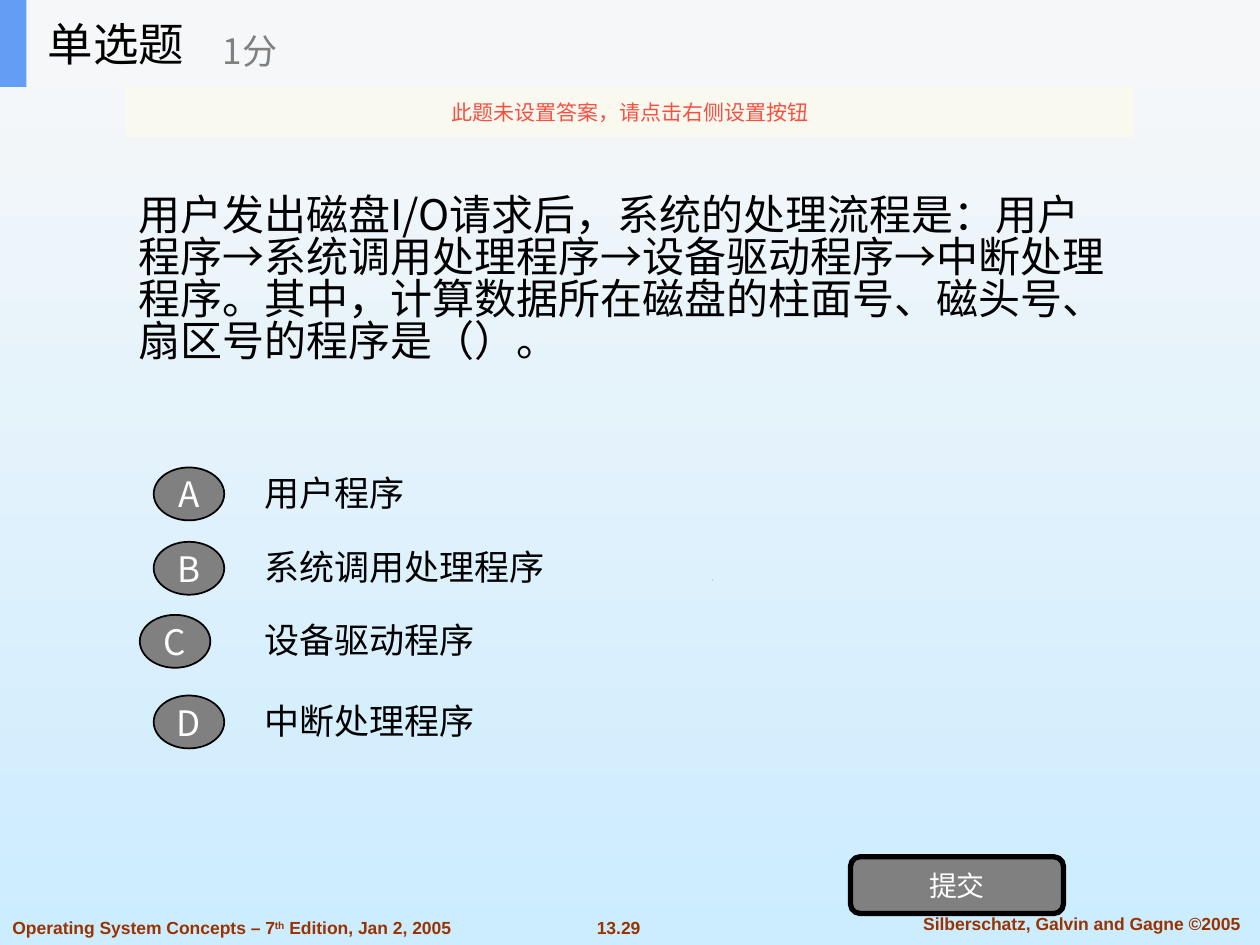
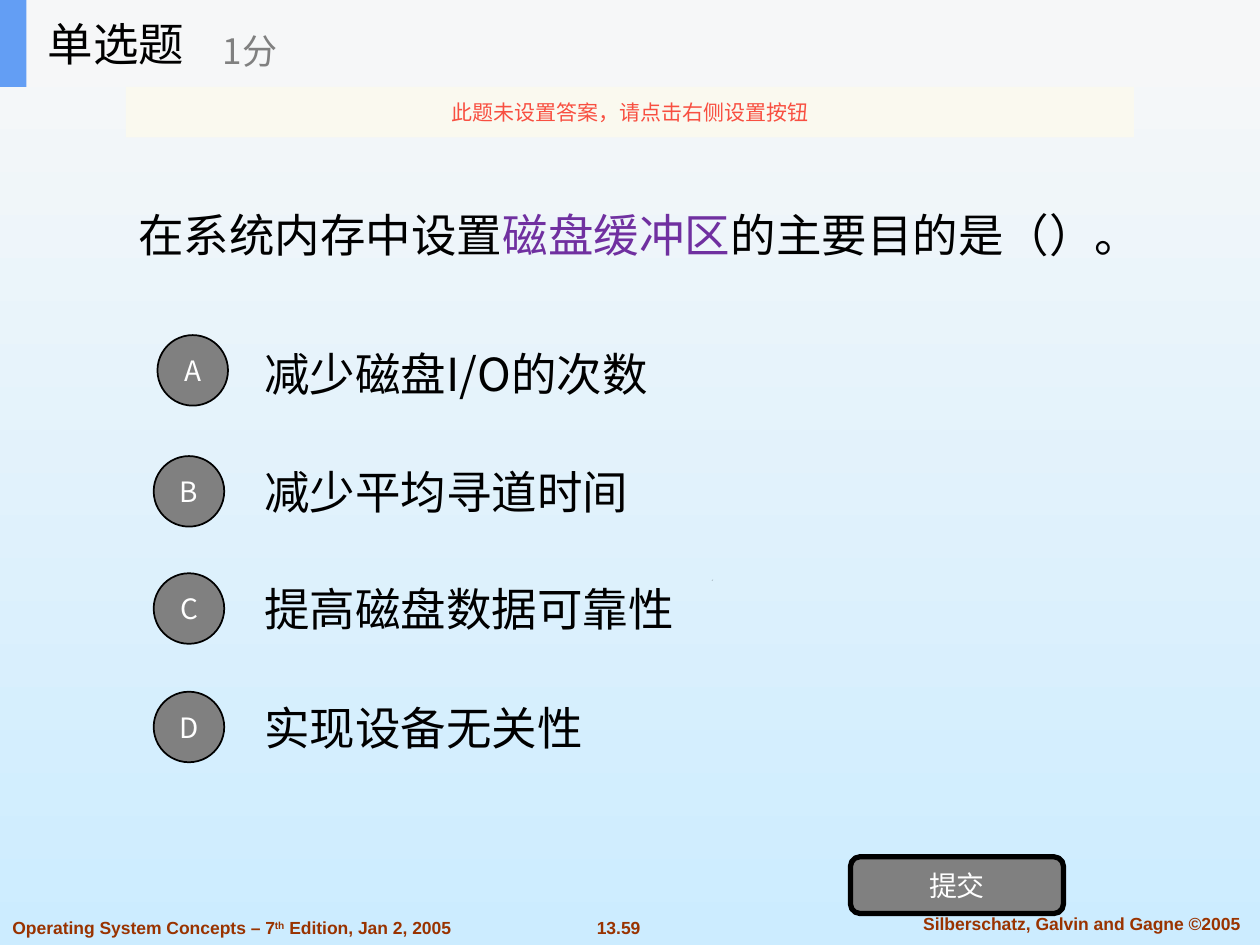
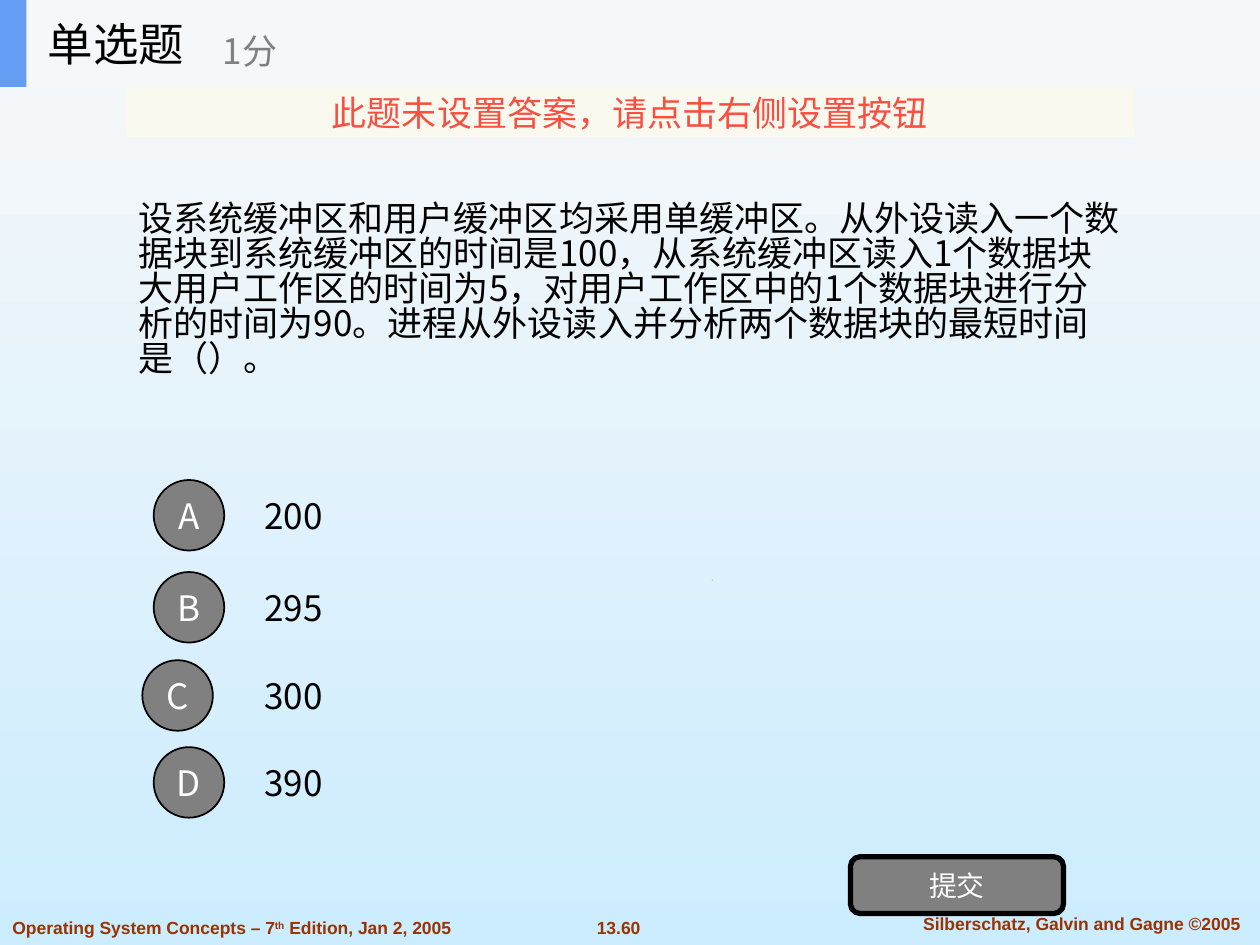
from dataclasses import dataclass

from lxml import etree
from pptx import Presentation
from pptx.dml.color import RGBColor
from pptx.enum.shapes import MSO_SHAPE
from pptx.enum.text import MSO_ANCHOR, MSO_AUTO_SIZE, PP_ALIGN
from pptx.oxml.ns import qn
from pptx.util import Inches, Pt

RECT = MSO_SHAPE.RECTANGLE
ROUND = MSO_SHAPE.ROUNDED_RECTANGLE
OVAL = MSO_SHAPE.OVAL
LEFT = PP_ALIGN.LEFT
CENTER = PP_ALIGN.CENTER
TOP = MSO_ANCHOR.TOP
MIDDLE = MSO_ANCHOR.MIDDLE
FIT = MSO_AUTO_SIZE.SHAPE_TO_FIT_TEXT
FIXED = MSO_AUTO_SIZE.NONE

HAN = "Noto Sans CJK SC"
COLORS = {
    "black": "000000",
    "white": "FFFFFF",
    "gray": "808080",
    "brown": "993300",
    "violet": "7030A0",
    "red": "F84F41",
    "cream": "FBFAEF",
    "blue": "639EF4",
    "bar": "F6F7F8",
    "sky_top": "F8F8F8",
    "sky_end": "CCECFF",
}


@dataclass(frozen=True)
class Span:
    text: str
    color: str = ""
    raised: bool = False


@dataclass(frozen=True)
class Choice:
    text: str
    top: float
    left: float = 1.22
    drop: float = 0.07


@dataclass(frozen=True)
class Quiz:
    page: str
    spans: tuple[Span, ...]
    top: float
    size: float
    pitch: float
    choices: tuple[Choice, ...]
    row: float
    badge: float
    mark: float
    hint: float


QUIZZES = (
    Quiz(
        "13.29",
        (Span("用户发出磁盘I/O请求后，系统的处理流程是：用户程序→系统调用处理程序→"
              "设备驱动程序→中断处理程序。其中，计算数据所在磁盘的柱面号、磁头号、"
              "扇区号的程序是（）。"),),
        1.06, 24, 0.83,
        (Choice("用户程序", 3.64), Choice("系统调用处理程序", 4.23),
         Choice("设备驱动程序", 4.81, left=1.11), Choice("中断处理程序", 5.45)),
        row=0.53, badge=0.42, mark=20, hint=12,
    ),
    Quiz(
        "13.59",
        (Span("在系统内存中设置"), Span("磁盘缓冲区", "violet"),
         Span("的主要目的是（）。")),
        0.69, 26, 1,
        (Choice("减少磁盘I/O的次数", 2.61, left=1.25, drop=0.05),
         Choice("减少平均寻道时间", 3.55), Choice("提高磁盘数据可靠性", 4.48),
         Choice("实现设备无关性", 5.42)),
        row=0.7, badge=0.56, mark=16, hint=12,
    ),
    Quiz(
        "13.60",
        (Span("设系统缓冲区和用户缓冲区均采用单缓冲区。从外设读入一个数据块到系统"
              "缓冲区的时间是100，从系统缓冲区读入1个数据块大用户工作区的时间为5，"
              "对用户工作区中的1个数据块进行分析的时间为90。进程从外设读入并分析"
              "两个数据块的最短时间是（）。"),),
        1.14, 20, 0.83,
        (Choice("200", 3.74), Choice("295", 4.47),
         Choice("300", 5.17, left=1.13), Choice("390", 5.86)),
        row=0.7, badge=0.56, mark=20, hint=20,
    ),
)


def rgb(name: str) -> RGBColor:
    return RGBColor.from_string(COLORS[name])


def write(shape, *spans, size=20, color="black", font=HAN, bold=False,
          align=LEFT, anchor=MIDDLE, wrap=True, fit=FIXED, pitch=1):
    frame = shape.text_frame
    frame.word_wrap = wrap
    frame.auto_size = fit
    frame.vertical_anchor = anchor
    para = frame.paragraphs[0]
    para.alignment = align
    if pitch != 1:
        para.line_spacing = pitch
    for span in spans:
        run = para.add_run()
        run.text = span.text
        run.font.size = Pt(size)
        run.font.bold = bold
        run.font.color.rgb = rgb(span.color or color)
        run.font.name = font
        props = run.font._element
        etree.SubElement(props, qn("a:ea")).set("typeface", font)
        if span.raised:
            props.set("baseline", "30000")


def place(*box: float) -> list:
    return [Inches(side) for side in box]


def label(slide, box: tuple, *spans: Span, **style):
    write(slide.shapes.add_textbox(*place(*box)), *spans, **style)


def panel(slide, kind, box: tuple, fill: str, line: float = 0):
    shape = slide.shapes.add_shape(kind, *place(*box))
    shape.shadow.inherit = False
    shape.fill.solid()
    shape.fill.fore_color.rgb = rgb(fill)
    if line:
        shape.line.color.rgb = rgb("black")
        shape.line.width = Pt(line)
    else:
        shape.line.fill.background()
    return shape


def speck(slide, start: tuple, *points: tuple, turn: float = 0):
    pen = slide.shapes.build_freeform(*place(*start), scale=1.0)
    pen.add_line_segments([tuple(place(*point)) for point in points], close=True)
    shape = pen.convert_to_shape()
    shape.shadow.inherit = False
    shape.fill.solid()
    shape.fill.fore_color.rgb = rgb("black")
    shape.line.fill.background()
    shape.rotation = turn


def paint(master):
    fill = master.background.fill
    fill.gradient()
    fill.gradient_angle = 270
    for stop, name in zip(fill.gradient_stops, ("sky_top", "sky_end")):
        stop.color.rgb = rgb(name)


def footer(slide, page: str):
    style = dict(size=10, color="brown", font="Arial", bold=True, anchor=TOP, fit=FIT)
    label(slide, (4.63, 7.23, 0.56, 0.27), Span(page), align=CENTER, wrap=False, **style)
    label(slide, (7.1, 7.2, 2.97, 0.27), Span("Silberschatz, Galvin and Gagne ©2005"),
          align=CENTER, **style)
    label(slide, (0, 7.23, 3.69, 0.27), Span("Operating System Concepts – 7"),
          Span("th", raised=True), Span(" Edition, Jan 2, 2005"), wrap=False, **style)
    speck(slide, (1.76, 5.43), (1.77, 5.42), turn=139.4)
    speck(slide, (5.65, 4.61), (5.66, 4.6), (5.65, 4.61))


def header(slide, hint: float):
    panel(slide, RECT, (0, 0, 10, 0.69), "bar")
    panel(slide, RECT, (0, 0, 0.21, 0.69), "blue")
    title = slide.shapes.title
    title.left, title.top, title.width, title.height = place(0.28, 0, 2.08, 0.69)
    write(title, Span("单选题"), size=26)
    slide.shapes.element.append(title.element)
    label(slide, (1.67, 0.12, 2.5, 0.56), Span("1分"), color="gray")
    strip = panel(slide, RECT, (1, 0.69, 8, 0.4), "cream")
    tint = strip.element.spPr.find(qn("a:solidFill"))[0]
    etree.SubElement(tint, qn("a:alpha")).set("val", "90000")
    write(strip, Span("此题未设置答案，请点击右侧设置按钮"), size=hint,
          color="red", align=CENTER, wrap=False)


def build(deck, quiz: Quiz):
    slide = deck.slides.add_slide(deck.slide_layouts[5])
    footer(slide, quiz.page)
    label(slide, (1, quiz.top, 8, 2.34), *quiz.spans, size=quiz.size, pitch=quiz.pitch)
    size = 26 if quiz.size == 26 else 20
    for mark, item in zip("ABCD", quiz.choices):
        label(slide, (2, item.top, 7, quiz.row), Span(item.text), size=size)
        box = (item.left, item.top + item.drop, 0.56, quiz.badge)
        badge = panel(slide, OVAL, box, "gray", 1)
        write(badge, Span(mark), size=quiz.mark, color="white", align=CENTER, wrap=False)
    button = panel(slide, ROUND, (6.75, 6.8, 1.69, 0.45), "gray", 3)
    write(button, Span("提交"), size=16, color="white", align=CENTER, wrap=False)
    header(slide, quiz.hint)


def main():
    deck = Presentation()
    deck.slide_width, deck.slide_height = place(10, 7.5)
    paint(deck.slide_master)
    for quiz in QUIZZES:
        build(deck, quiz)
    deck.save("out.pptx")


if __name__ == "__main__":
    main()
